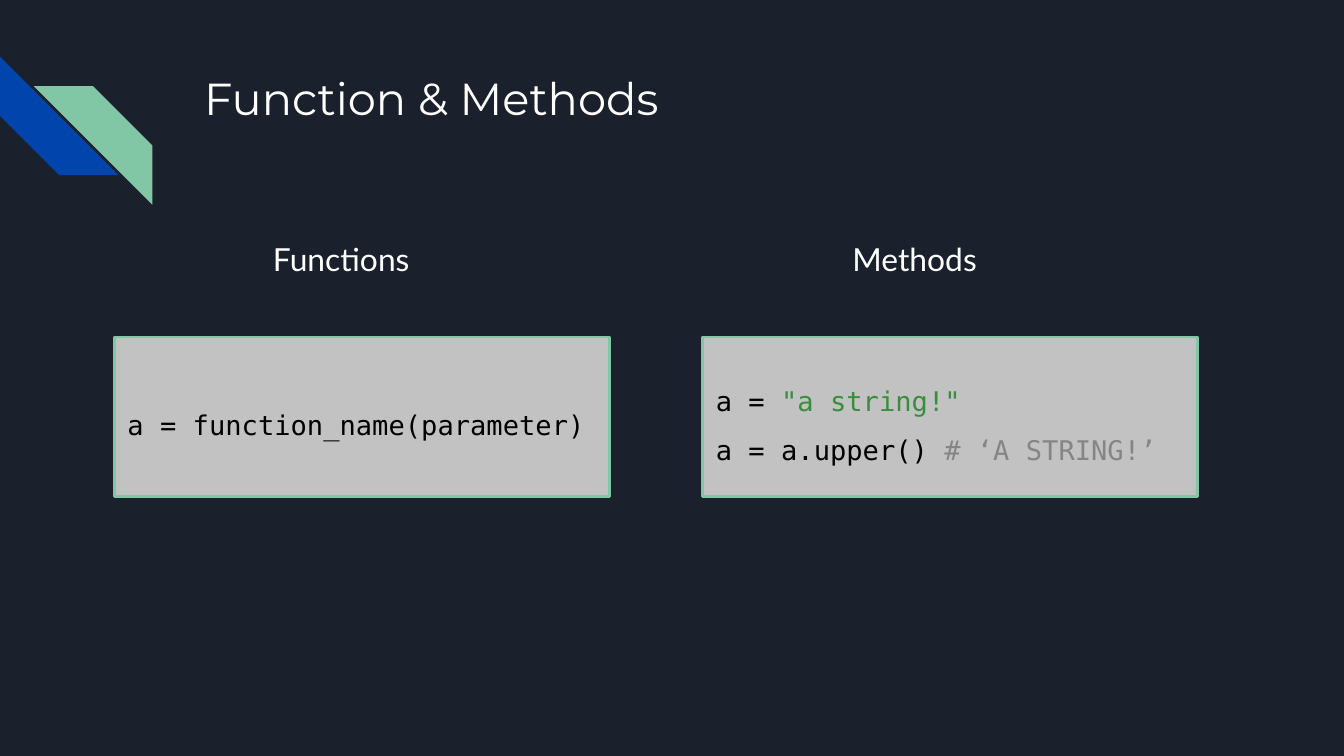
from dataclasses import dataclass

import pptx
import pptx.dml.color
import pptx.enum.shapes
import pptx.enum.text
import pptx.util
from pptx.util import Cm


@dataclass(frozen=True)
class Theme:
    background: str = "1B212C"
    blue: str = "0145AC"
    green: str = "82C7A5"
    panel: str = "C2C2C2"
    light_text: str = "FFFFFF"
    code: str = "000000"
    string: str = "388E3C"
    comment: str = "858585"
    title_font: str = "Montserrat"
    heading_font: str = "Lato"
    code_font: str = "DejaVu Sans Mono"
    title_size: float = 24
    heading_size: float = 17
    code_size: float = 14.5
    border_width: float = 1.5
    code_spacing: float = 1.5


THEME = Theme()


@dataclass(frozen=True)
class Box:
    """Position and size in centimetres."""
    left: float
    top: float
    width: float
    height: float

    def lengths(self) -> tuple:
        return Cm(self.left), Cm(self.top), Cm(self.width), Cm(self.height)


@dataclass(frozen=True)
class Token:
    text: str
    color: str = THEME.code


@dataclass(frozen=True)
class Example:
    heading: str
    heading_left: float
    panel_left: float
    lines: tuple


@dataclass(frozen=True)
class Stripe:
    box: Box
    rotation: float
    color: str


STRIPES = (
    Stripe(Box(0, 1.07, 2.24, 2.24), 270, THEME.blue),
    Stripe(Box(0.64, 1.63, 2.24, 2.24), 90, THEME.green),
)

EXAMPLES = (
    Example("Functions", 4.91, 2.16, (
        (Token("a = function_name(parameter)"),),
    )),
    Example("Methods", 15.86, 13.28, (
        (Token("a = "), Token('"a string!"', THEME.string)),
        (Token("a = a.upper() "), Token("# ‘A STRING!’", THEME.comment)),
    )),
)


def rgb(color: str) -> pptx.dml.color.RGBColor:
    return pptx.dml.color.RGBColor.from_string(color)


def add_run(paragraph, text: str, font: str, size: float, color: str) -> None:
    run = paragraph.add_run()
    run.text = text
    run.font.name = font
    run.font.size = pptx.util.Pt(size)
    run.font.color.rgb = rgb(color)


def set_frame(frame, anchor) -> None:
    """Turn on wrapping and give the text equal margins."""
    frame.word_wrap = True
    frame.vertical_anchor = anchor
    frame.margin_left = frame.margin_right = Cm(0.25)
    frame.margin_top = frame.margin_bottom = Cm(0.25)


def add_label(slide, box: Box, text: str, font: str, size: float) -> None:
    frame = slide.shapes.add_textbox(*box.lengths()).text_frame
    set_frame(frame, pptx.enum.text.MSO_ANCHOR.TOP)
    add_run(frame.paragraphs[0], text, font, size, THEME.light_text)


def add_filled_shape(slide, kind, box: Box, color: str):
    shape = slide.shapes.add_shape(kind, *box.lengths())
    shape.shadow.inherit = False
    shape.fill.solid()
    shape.fill.fore_color.rgb = rgb(color)
    return shape


def add_stripe(slide, stripe: Stripe) -> None:
    shape = add_filled_shape(
        slide, pptx.enum.shapes.MSO_SHAPE.DIAGONAL_STRIPE, stripe.box, stripe.color)
    shape.adjustments[0] = 0.5
    shape.rotation = stripe.rotation
    shape.line.fill.background()


def add_code_panel(slide, box: Box, lines: tuple) -> None:
    shape = add_filled_shape(
        slide, pptx.enum.shapes.MSO_SHAPE.RECTANGLE, box, THEME.panel)
    shape.line.color.rgb = rgb(THEME.green)
    shape.line.width = pptx.util.Pt(THEME.border_width)
    frame = shape.text_frame
    set_frame(frame, pptx.enum.text.MSO_ANCHOR.MIDDLE)
    for index, tokens in enumerate(lines):
        paragraph = frame.add_paragraph() if index else frame.paragraphs[0]
        paragraph.alignment = pptx.enum.text.PP_ALIGN.LEFT
        paragraph.line_spacing = THEME.code_spacing
        for token in tokens:
            add_run(paragraph, token.text, THEME.code_font, THEME.code_size, token.color)


def main() -> None:
    presentation = pptx.Presentation()
    presentation.slide_width = Cm(25.4)
    presentation.slide_height = Cm(14.29)
    slide = presentation.slides.add_slide(presentation.slide_layouts[6])
    slide.background.fill.solid()
    slide.background.fill.fore_color.rgb = rgb(THEME.background)

    for stripe in STRIPES:
        add_stripe(slide, stripe)
    add_label(slide, Box(3.61, 1.09, 19.56, 2.54), "Function & Methods",
              THEME.title_font, THEME.title_size)
    for example in EXAMPLES:
        add_code_panel(slide, Box(example.panel_left, 6.37, 9.36, 3.02), example.lines)
        add_label(slide, Box(example.heading_left, 4.29, 3.86, 1.24), example.heading,
                  THEME.heading_font, THEME.heading_size)

    presentation.save("out.pptx")


if __name__ == "__main__":
    main()
